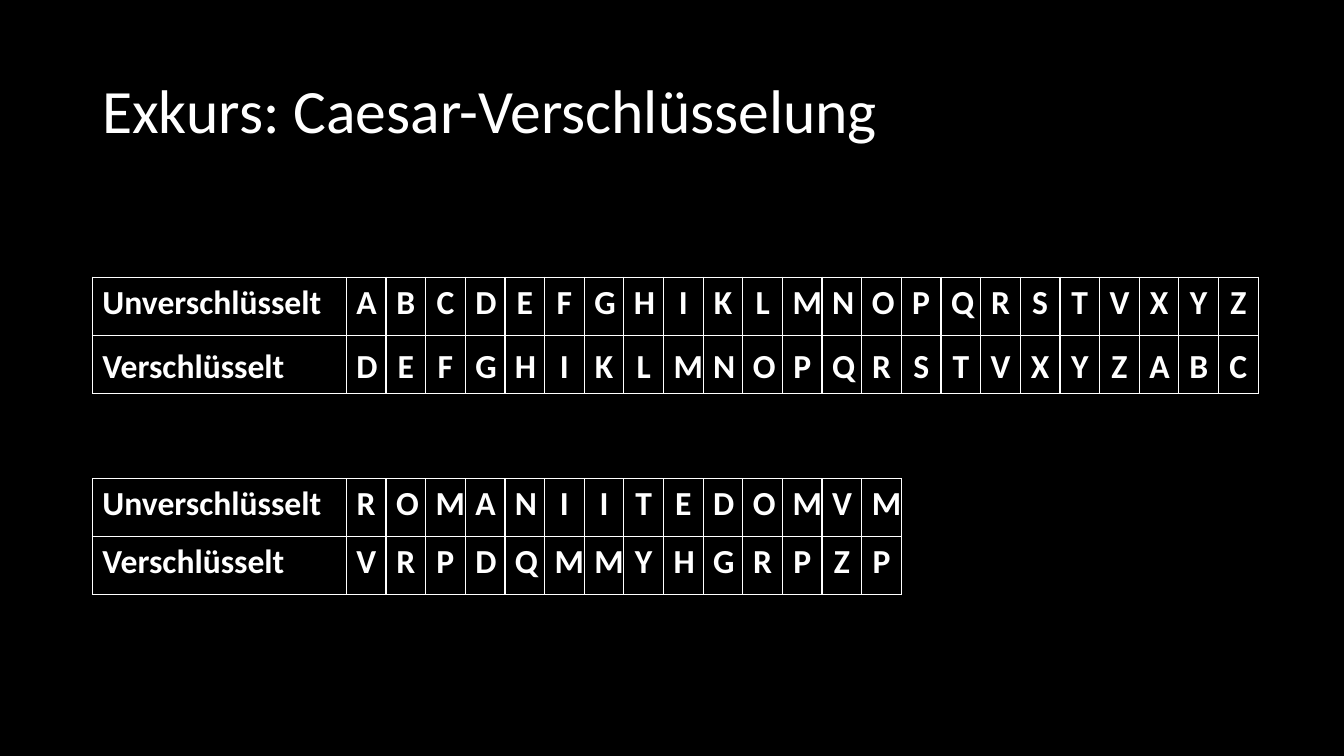
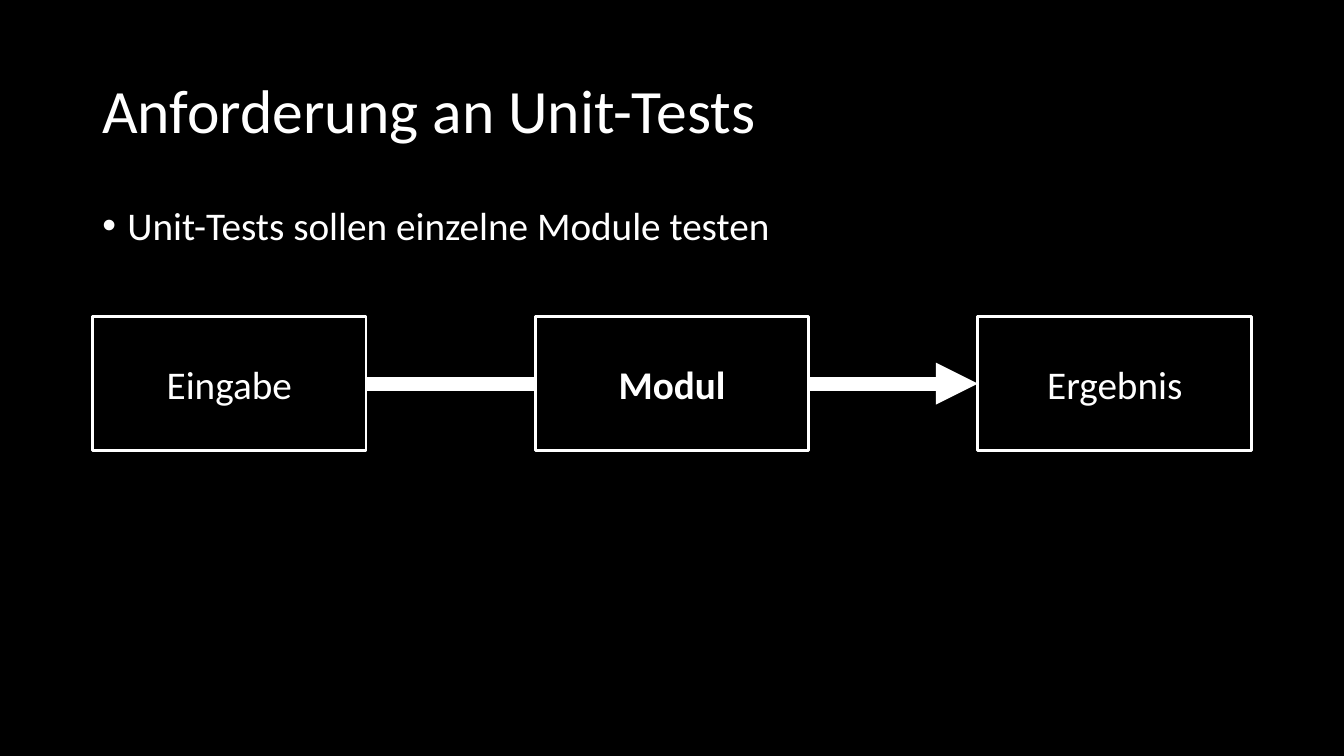
from lxml import etree
from pptx import Presentation
from pptx.dml.color import RGBColor
from pptx.enum.shapes import MSO_CONNECTOR, MSO_SHAPE
from pptx.enum.text import MSO_ANCHOR, PP_ALIGN
from pptx.oxml.ns import qn
from pptx.util import Pt

STRAIGHT = MSO_CONNECTOR.STRAIGHT
RECTANGLE = MSO_SHAPE.RECTANGLE
TOP, MIDDLE, BOTTOM = MSO_ANCHOR.TOP, MSO_ANCHOR.MIDDLE, MSO_ANCHOR.BOTTOM
LEFT, CENTER = PP_ALIGN.LEFT, PP_ALIGN.CENTER
SIDE_LEFT, SIDE_RIGHT = 1, 3

ALPHABET = "ABCDEFGHIKLMNOPQRSTVXYZ"
SHIFT = 3


def rgb(value):
    return RGBColor.from_string(value)


def add_xml(parent, tag, **attributes):
    return etree.SubElement(parent, qn(tag), attributes)


def encrypt(text):
    return text.translate(str.maketrans(ALPHABET, ALPHABET[SHIFT:] + ALPHABET[:SHIFT]))


class Deck:
    """Holds the shared style and the slide being built."""

    FONT, BLACK, WHITE = "Calibri", "000000", "FFFFFF"
    MARGIN, CONTENT_WIDTH = 66, 828
    LABEL_WIDTH, LETTER_WIDTH, ROW_HEIGHT = 181.4, 28.33, 41.4

    def __init__(self):
        self.prs = Presentation()
        self.prs.slide_width, self.prs.slide_height = Pt(960), Pt(540)
        fill = self.prs.slide_master.background.fill
        fill.solid()
        fill.fore_color.rgb = rgb(self.BLACK)

    def new_slide(self, title):
        self.s = self.prs.slides.add_slide(self.prs.slide_layouts[6])
        self.text(title, 28.8, 104.4, 44, MIDDLE)

    def set_text(self, p, text, size, bold=False, align=LEFT):
        p.text = text
        p.alignment = align
        p.font.name, p.font.size, p.font.bold = self.FONT, Pt(size), bold
        p.font.color.rgb = rgb(self.WHITE)

    def text(self, text, top, height, size, anchor=TOP):
        """Adds a text box across the content width and returns its paragraph."""
        sp = self.s.shapes.add_textbox(
            Pt(self.MARGIN), Pt(top), Pt(self.CONTENT_WIDTH), Pt(height))
        tf = sp.text_frame
        tf.word_wrap, tf.vertical_anchor = True, anchor
        p = tf.paragraphs[0]
        self.set_text(p, text, size)
        p.line_spacing = 0.9
        return p

    def bullet(self, text, top, height):
        p = self.text(text, top, height, 28)
        p.space_before = Pt(10)
        pPr = p._p.get_or_add_pPr()
        pPr.set("marL", str(Pt(18)))
        pPr.set("indent", str(Pt(-18)))
        # Bullet elements must precede the default run properties.
        bullet_parts = (add_xml(pPr, "a:buFont", typeface="Arial"),
                        add_xml(pPr, "a:buChar", char="•"))
        defaults = pPr.find(qn("a:defRPr"))
        if defaults is not None:
            for part in bullet_parts:
                defaults.addprevious(part)

    def cell_borders(self, cell):
        tcPr = cell._tc.get_or_add_tcPr()
        for side in "LRTB":
            ln = add_xml(tcPr, f"a:ln{side}", w=str(Pt(1)))
            add_xml(add_xml(ln, "a:solidFill"), "a:srgbClr", val=self.WHITE)

    def letter_row(self, label, letters, top, anchor=TOP):
        """Adds a one-row table: a label followed by one letter per column."""
        texts = [label, *letters]
        widths = [self.LABEL_WIDTH] + [self.LETTER_WIDTH] * len(letters)
        table = self.s.shapes.add_table(
            1, len(texts), Pt(self.MARGIN), Pt(top),
            Pt(sum(widths)), Pt(self.ROW_HEIGHT)).table
        table.first_row = table.horz_banding = False
        for i, (text, width) in enumerate(zip(texts, widths)):
            table.columns[i].width = Pt(width)
            cell = table.cell(0, i)
            self.cell_borders(cell)
            cell.fill.solid()
            cell.fill.fore_color.rgb = rgb(self.BLACK)
            cell.vertical_anchor = anchor
            self.set_text(cell.text_frame.paragraphs[0], text, 24, True,
                          CENTER if i else LEFT)

    def box(self, text, left, top, width, height, bold=False, filled=False):
        sp = self.s.shapes.add_shape(
            RECTANGLE, Pt(left), Pt(top), Pt(width), Pt(height))
        sp.shadow.inherit = False
        if filled:
            sp.fill.solid()
            sp.fill.fore_color.rgb = rgb(self.BLACK)
        else:
            sp.fill.background()
        sp.line.color.rgb, sp.line.width = rgb(self.WHITE), Pt(2)
        tf = sp.text_frame
        tf.word_wrap, tf.vertical_anchor = True, MIDDLE
        self.set_text(tf.paragraphs[0], text, 28, bold, CENTER)
        return sp

    def arrow(self, start, end):
        """Joins the right side of start to the left side of end."""
        c = self.s.shapes.add_connector(STRAIGHT, 0, 0, 0, 0)
        c.begin_connect(start, SIDE_RIGHT)
        c.end_connect(end, SIDE_LEFT)
        c.line.color.rgb, c.line.width = rgb(self.WHITE), Pt(10)
        spPr = c._element.spPr
        add_xml(spPr.find(qn("a:ln")), "a:tailEnd", type="triangle")
        add_xml(spPr, "a:effectLst")


def caesar_slide(deck):
    deck.new_slide("Exkurs: Caesar-Verschlüsselung")
    message = "ROMANIITEDOMVM"
    for plain, top, anchor in ((ALPHABET, 198, BOTTOM), (message, 342, TOP)):
        deck.letter_row("Unverschlüsselt", plain, top)
        deck.letter_row("Verschlüsselt", encrypt(plain),
                        top + deck.ROW_HEIGHT, anchor)


def unit_test_slide(deck):
    deck.new_slide("Anforderung an Unit-Tests")
    deck.bullet("Unit-Tests sollen einzelne Module testen", 143.75, 342.6)
    top, width, height = 226, 195.5, 96
    step = (deck.CONTENT_WIDTH - width) / 2
    source = deck.box("Eingabe", deck.MARGIN, top, width, height)
    result = deck.box("Ergebnis", deck.MARGIN + 2 * step, top, width, height)
    deck.arrow(source, result)
    deck.box("Modul", deck.MARGIN + step, top, width, height, bold=True, filled=True)


def main():
    deck = Deck()
    caesar_slide(deck)
    unit_test_slide(deck)
    deck.prs.save("out.pptx")


if __name__ == "__main__":
    main()
